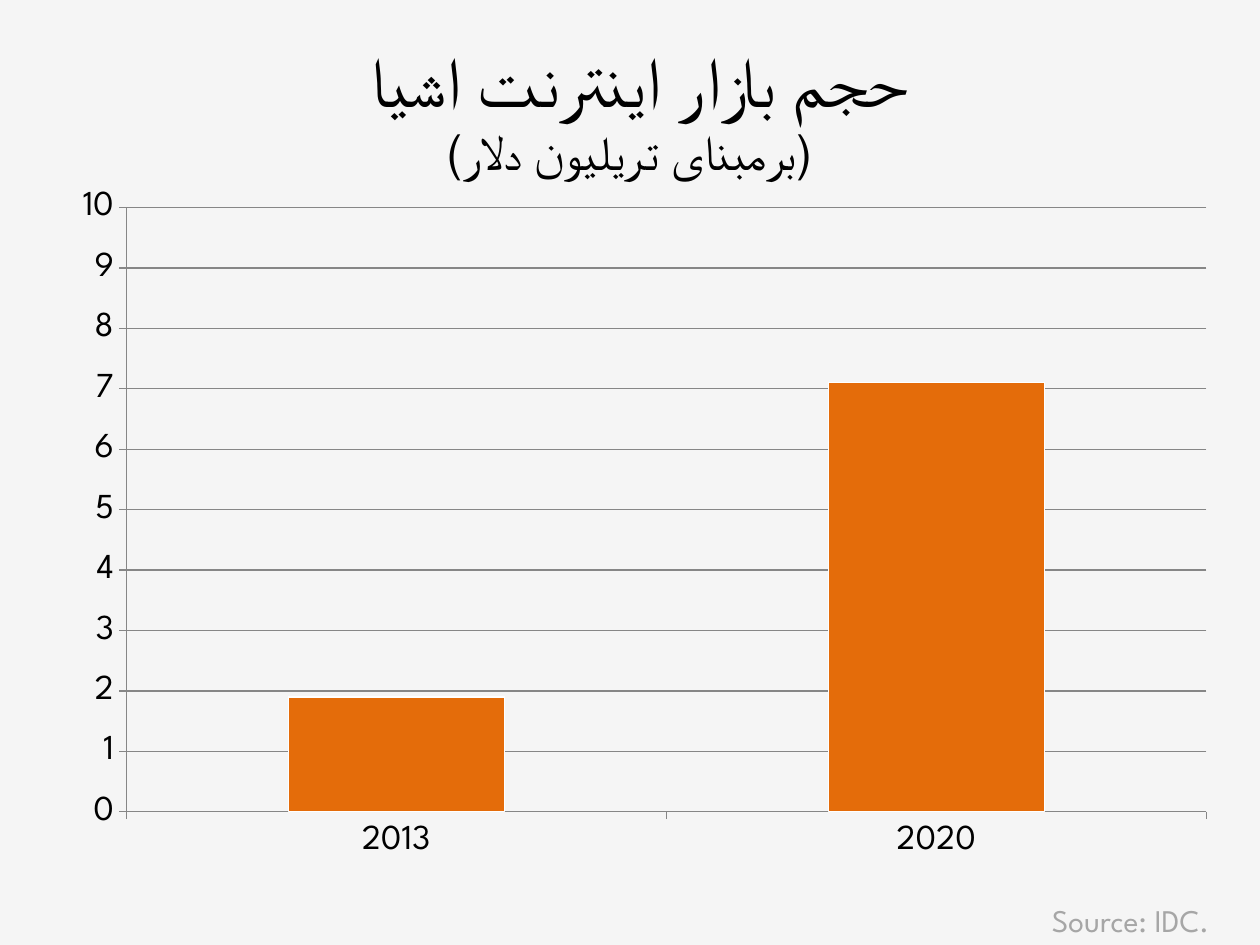
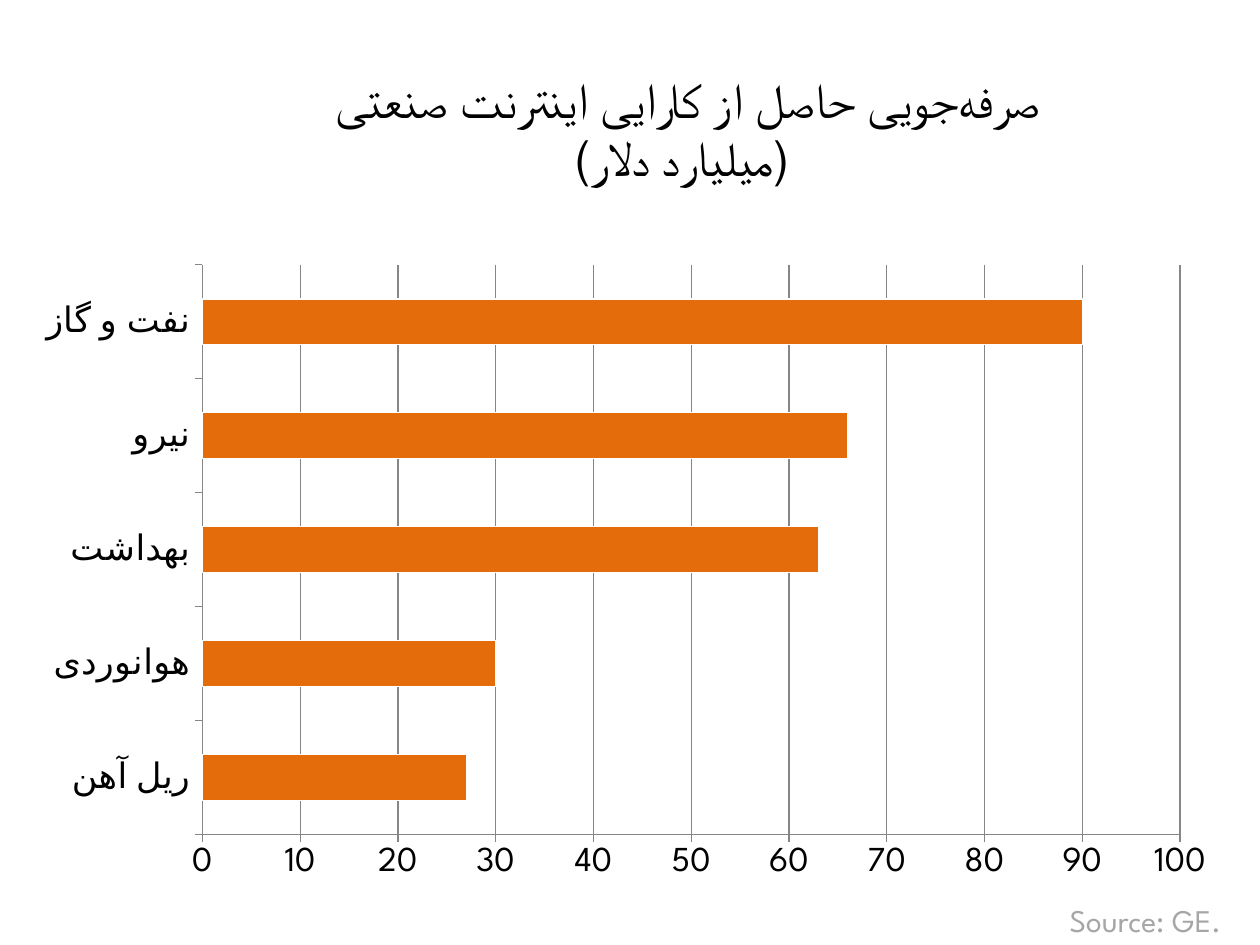
"""Two bar-chart slides on the market for, and the savings from, the connected internet."""
from lxml import etree
from pptx import Presentation
from pptx.chart.data import CategoryChartData
from pptx.dml.color import RGBColor
from pptx.enum.chart import XL_CHART_TYPE as ChartType, XL_TICK_MARK as TickMark
from pptx.enum.text import MSO_AUTO_SIZE as AutoSize, PP_ALIGN as Align
from pptx.oxml.ns import qn
from pptx.util import Pt

BLACK = RGBColor(0x00, 0x00, 0x00)
WHITE = RGBColor(0xFF, 0xFF, 0xFF)
PALE_GREY = RGBColor(0xF5, 0xF5, 0xF5)
SOURCE_GREY = RGBColor(0xA6, 0xA6, 0xA6)
GRID_GREY = RGBColor(0x86, 0x86, 0x86)
ORANGE = RGBColor(0xE4, 0x6C, 0x0A)
TITLE_FONT = "Calibri"
LABEL_FONT = "League Spartan"
NON_JOINER = chr(0x200C)


def set_font(font, name, size, color):
    font.name, font.size = name, Pt(size)
    font.color.rgb = color


def add_slide(deck, background):
    slide = deck.slides.add_slide(deck.slide_layouts[6])
    slide.background.fill.solid()
    slide.background.fill.fore_color.rgb = background
    return slide


def add_text(slide, box, wrap):
    frame = slide.shapes.add_textbox(*map(Pt, box)).text_frame
    frame.word_wrap = wrap
    frame.auto_size = AutoSize.SHAPE_TO_FIT_TEXT
    return frame


def add_title(slide, box, lines):
    frame = add_text(slide, box, True)
    for number, (wording, size) in enumerate(lines):
        line = frame.add_paragraph() if number else frame.paragraphs[0]
        line.text = wording
        line.alignment = Align.CENTER
        line._p.get_or_add_pPr().set("rtl", "1")
        set_font(line.font, TITLE_FONT, size, BLACK)


def add_source(slide, left, width, wording):
    credit = add_text(slide, (left, 511.2, width, 28.8), False).paragraphs[0]
    credit.text = wording
    set_font(credit.font, LABEL_FONT, 18, SOURCE_GREY)


def style_axis(axis):
    axis.major_tick_mark = TickMark.OUTSIDE
    axis.minor_tick_mark = TickMark.NONE
    set_font(axis.tick_labels.font, LABEL_FONT, 20, BLACK)
    axis.format.line.color.rgb = GRID_GREY
    axis.format.line.width = Pt(0.75)


def place_plot(chart, x, y, w, h):
    plot_area = chart._chartSpace.chart.plotArea
    for old in plot_area.findall(qn("c:layout")):
        plot_area.remove(old)
    layout = etree.Element(qn("c:layout"))
    manual = etree.SubElement(layout, qn("c:manualLayout"))
    settings = {"layoutTarget": "inner", "xMode": "edge", "yMode": "edge",
                "x": x, "y": y, "w": w, "h": h}
    for tag, value in settings.items():
        etree.SubElement(manual, qn(f"c:{tag}")).set("val", str(value))
    plot_area.insert(0, layout)


def add_bars(slide, kind, box, values, top, step):
    data = CategoryChartData()
    data.categories = list(values)
    data.add_series("Series 1", list(values.values()))
    chart = slide.shapes.add_chart(kind, *map(Pt, box), data).chart
    chart.has_legend = chart.has_title = False
    set_font(chart.font, TITLE_FONT, 18, BLACK)

    scale = chart.value_axis
    for axis in (chart.category_axis, scale):
        style_axis(axis)
    scale.minimum_scale, scale.maximum_scale, scale.major_unit = 0, top, step
    scale.has_major_gridlines = True
    scale.major_gridlines.format.line.color.rgb = GRID_GREY
    scale.major_gridlines.format.line.width = Pt(0.75)

    plot = chart.plots[0]
    plot.gap_width = 150
    plot.vary_by_categories = False
    bars = plot.series[0].format
    bars.fill.solid()
    bars.fill.fore_color.rgb = ORANGE
    bars.line.color.rgb = WHITE
    bars.line.width = Pt(0.75)
    return chart


def add_market_slide(deck):
    slide = add_slide(deck, PALE_GREY)
    market = {"2013": 1.9, "2020": 7.1}
    chart = add_bars(slide, ChartType.COLUMN_CLUSTERED, (18, 0, 678.24, 515.52),
                     market, 10, 1)
    place_plot(chart, 0.08, 0.23, 0.91, 0.67)
    add_source(slide, 594, 123.12, "Source: IDC.")
    add_title(slide, (0, 18, 720, 90),
              [("حجم بازار اینترنت اشیا ", 40), ("(برمبنای تریلیون دلار)", 28)])


def add_savings_slide(deck):
    slide = add_slide(deck, WHITE)
    savings = {"ریل آهن": 27, "هوانوردی": 30, "بهداشت": 63, "نیرو": 66, "نفت و گاز": 90}
    chart = add_bars(slide, ChartType.BAR_CLUSTERED, (12.24, 144, 689.76, 365.76),
                     savings, 100, 10)
    place_plot(chart, 0.15, 0.02, 0.81, 0.89)
    add_source(slide, 604.08, 115.92, "Source: GE.")
    add_title(slide, (113.76, 36, 552.24, 74.88),
              [(f"صرفه{NON_JOINER}جویی حاصل از کارایی اینترنت صنعتی ", 28),
               ("(میلیارد دلار)", 28)])


def main():
    deck = Presentation()
    deck.slide_width, deck.slide_height = Pt(720), Pt(540)
    add_market_slide(deck)
    add_savings_slide(deck)
    deck.save("out.pptx")


if __name__ == "__main__":
    main()
